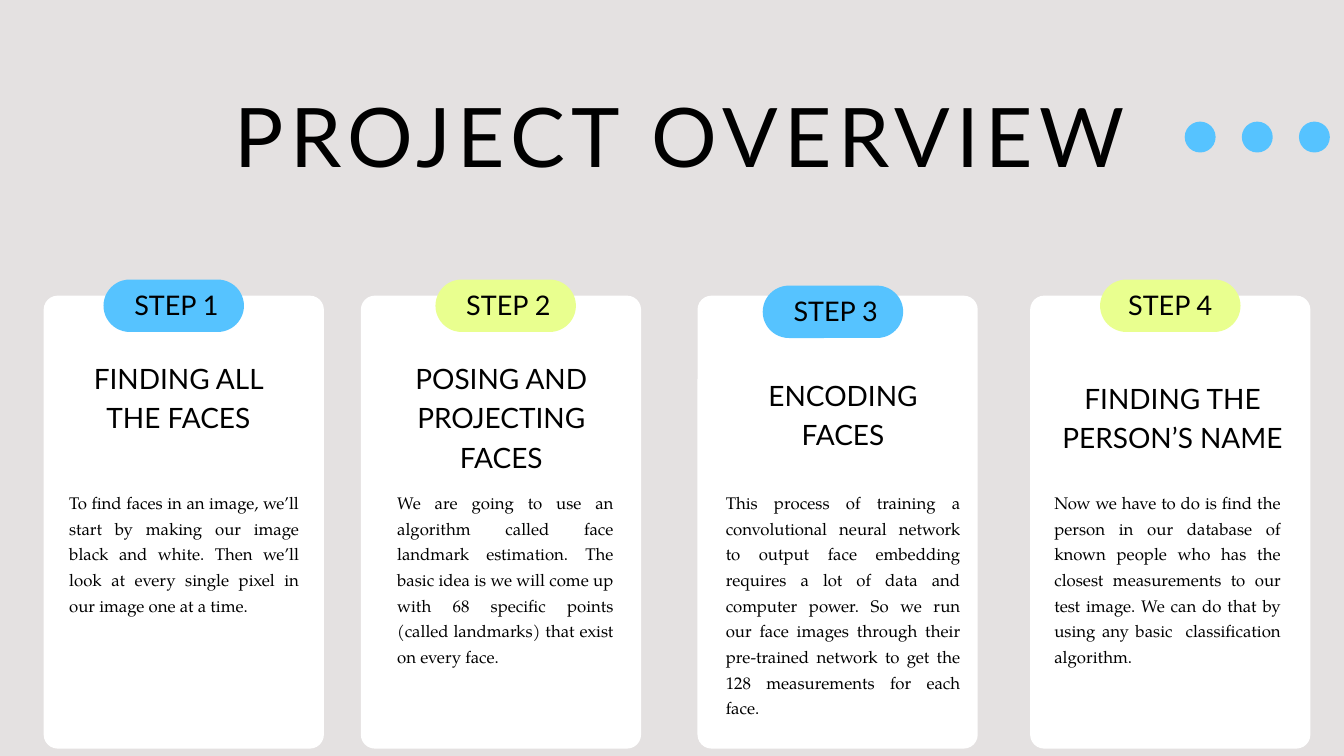
from dataclasses import dataclass

from pptx import Presentation
from pptx.dml.color import RGBColor
from pptx.enum.shapes import MSO_SHAPE
from pptx.enum.text import MSO_ANCHOR, MSO_AUTO_SIZE, PP_ALIGN
from pptx.util import Inches, Pt

ROUNDED, OVAL = MSO_SHAPE.ROUNDED_RECTANGLE, MSO_SHAPE.OVAL
CENTER, JUSTIFY = PP_ALIGN.CENTER, PP_ALIGN.JUSTIFY
GRAY = RGBColor(0xE4, 0xE1, 0xE1)
WHITE = RGBColor(0xFF, 0xFF, 0xFF)
BLACK = RGBColor(0x00, 0x00, 0x00)
BLUE = RGBColor(0x56, 0xC3, 0xFF)
LIME = RGBColor(0xE9, 0xFF, 0x8F)
SANS, SERIF = "Lato", "TeX Gyre Pagella"

SLIDE_W, SLIDE_H = Inches(20), Inches(11.25)
COL = SLIDE_W / 100  # square grid, 100 columns across the slide

CARD_TOP, CARD_W, CARD_H = 22, 20.85, 33.7
BADGE_W, BADGE_H = 10.45, 3.9
BODY_DY = 14.25


@dataclass
class Step:
    """One card; heading, badge and body are offsets and sizes within it."""
    left: float
    heading: str
    heading_box: tuple
    badge_at: tuple
    label_dx: float
    body: str
    body_dx: float
    body_size: tuple


STEPS = [
    Step(3.25, "FINDING ALL THE FACES", (3.2, 4.45, 13.65, 8.5), (4.45, -1.2), 0,
         "To find faces in an image, we’ll start by making our image black and "
         "white. Then we’ll look at every single pixel in our image one at a time.",
         1.9, (17.1, 11.15)),
    Step(26.85, "POSING AND PROJECTING FACES", (2.35, 4.5, 16.2, 8.7), (5.55, -1.2), 0,
         "We are going to use an algorithm called face landmark estimation. The "
         "basic idea is we will come up with 68 specific points (called landmarks) "
         "that exist on every face.",
         2.7, (16.1, 13)),
    Step(51.9, "ENCODING FACES", (2.55, 5.75, 16.55, 5.8), (4.85, -0.75), 0,
         "This process of training a convolutional neural network to output face "
         "embedding requires a lot of data and computer power. So we run our face "
         "images through their pre-trained network to get the 128 measurements for "
         "each face.",
         2.1, (17.45, 16.75)),
    Step(76.65, "FINDING THE PERSON’S NAME", (1.2, 5.95, 18.8, 5.8), (5.2, -1.2), -0.2,
         "Now we have to do is find the person in our database of known people who "
         "has the closest measurements to our test image. We can do that by using "
         "any basic  classification algorithm.",
         1.8, (16.85, 13)),
]


def grid(*lengths):
    return [round(n * COL) for n in lengths]


def add_block(slide, preset, box, color):
    sp = slide.shapes.add_shape(preset, *grid(*box))
    sp.shadow.inherit = False
    sp.fill.solid()
    sp.fill.fore_color.rgb = color
    sp.line.fill.background()
    return sp


def set_text(sp, text, font, size, spacing, align):
    tf = sp.text_frame
    tf.word_wrap = True
    tf.auto_size = MSO_AUTO_SIZE.NONE
    tf.vertical_anchor = MSO_ANCHOR.TOP
    tf.margin_left = tf.margin_top = tf.margin_right = tf.margin_bottom = 0
    p = tf.paragraphs[0]
    p.text = text
    p.alignment = align
    p.line_spacing = Pt(spacing)
    p.space_before = Pt(0)
    p.font.name = font
    p.font.size = Pt(size)
    p.font.color.rgb = BLACK
    return p


def add_text(slide, box, *style):
    set_text(slide.shapes.add_textbox(*grid(*box)), *style)


def add_title(slide, box):
    sp = slide.shapes.title
    sp.left, sp.top, sp.width, sp.height = grid(*box)
    p = set_text(sp, "PROJECT OVERVIEW", SANS, 88, 95, CENTER)
    p.runs[0].font._element.set("spc", "700")


def add_dots(slide, left, top, size, pitch, count=3):
    for i in range(count):
        add_block(slide, OVAL, (left + i * pitch, top, size, size), BLUE)


def add_card(slide, number, step, box):
    left, top, _, _ = box
    card = add_block(slide, ROUNDED, box, WHITE)
    card.adjustments[0] = 0.05

    dx, dy, w, h = step.heading_box
    add_text(slide, (left + dx, top + dy, w, h), step.heading, SANS, 30, 42, CENTER)

    dx, dy = step.badge_at
    x, y = left + dx, top + dy
    badge = add_block(slide, ROUNDED, (x, y, BADGE_W, BADGE_H), BLUE if number % 2 else LIME)
    badge.adjustments[0] = 0.5
    add_text(slide, (x + step.label_dx, y + 0.9, BADGE_W + 0.4, 2.2),
             f"STEP {number}", SANS, 28.9, 31.2, CENTER)

    add_text(slide, (left + step.body_dx, top + BODY_DY, *step.body_size),
             step.body, SERIF, 18, 27.5, JUSTIFY)


def main():
    prs = Presentation()
    prs.slide_width, prs.slide_height = SLIDE_W, SLIDE_H
    slide = prs.slides.add_slide(prs.slide_layouts.get_by_name("Title Only"))
    slide.background.fill.solid()
    slide.background.fill.fore_color.rgb = GRAY

    for number, step in enumerate(STEPS, 1):
        add_card(slide, number, step, (step.left, CARD_TOP, CARD_W, CARD_H))
    add_title(slide, (10.7, 7.1, 79.85, 6.7))
    add_dots(slide, 88.15, 9.05, 2.3, 4.25)

    prs.save("out.pptx")


if __name__ == "__main__":
    main()
